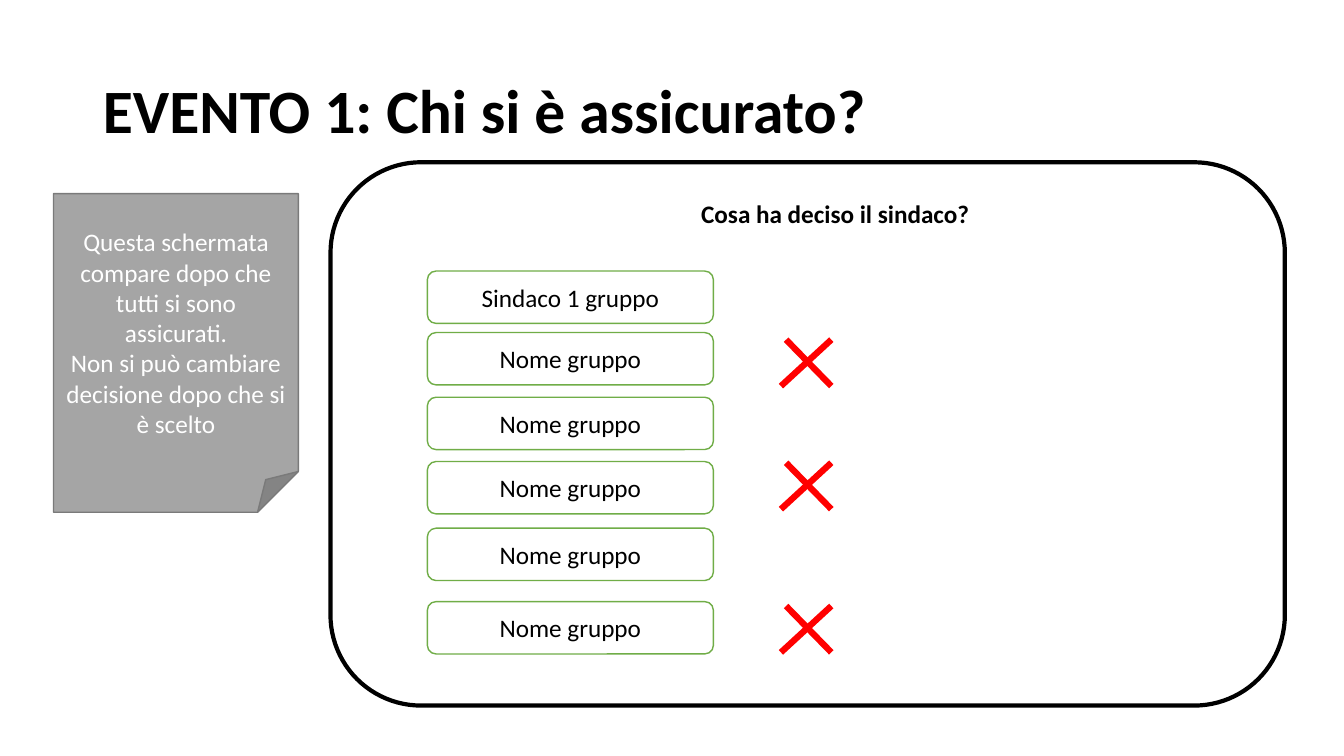
from lxml import etree
from pptx import Presentation
from pptx.dml.color import RGBColor
from pptx.enum.shapes import MSO_CONNECTOR, MSO_SHAPE
from pptx.enum.text import MSO_ANCHOR, MSO_AUTO_SIZE, PP_ALIGN
from pptx.oxml.ns import qn
from pptx.util import Cm, Pt

STRAIGHT = MSO_CONNECTOR.STRAIGHT
FOLDED, ROUNDED = MSO_SHAPE.FOLDED_CORNER, MSO_SHAPE.ROUNDED_RECTANGLE
MIDDLE = MSO_ANCHOR.MIDDLE
LEFT, CENTER = PP_ALIGN.LEFT, PP_ALIGN.CENTER
NO_FIT = MSO_AUTO_SIZE.NONE
FONT = "Calibri"
TITLE_ONLY = 5

COLORS = {
    "black": "000000",
    "white": "FFFFFF",
    "note": "A5A5A5",
    "note_edge": "7A7A7A",
    "group_edge": "70AD47",
    "cross": "FF0000",
}

GROUPS = [
    ("Sindaco 1 gruppo", 2.74, None),
    ("Nome gruppo", 4.29, 4.47),
    ("Nome gruppo", 5.92, None),
    ("Nome gruppo", 7.54, 7.57),
    ("Nome gruppo", 9.22, None),
    ("Nome gruppo", 11.07, 11.18),
]


def rgb(name):
    """Return the named palette colour."""
    return RGBColor.from_string(COLORS[name])


def write(frame, lines, color="black", size=18, bold=False, align=CENTER):
    """Fill a text frame with one formatted paragraph per line."""
    frame.word_wrap = True
    frame.text = "\n".join(lines)
    for paragraph in frame.paragraphs:
        paragraph.alignment = align
        font = paragraph.font
        font.name, font.size, font.bold = FONT, Pt(size), bold
        font.color.rgb = rgb(color)


def add_outlined(slide, preset, box, fill, edge, width=1):
    """Add a preset shape in a box given in centimetres."""
    shape = slide.shapes.add_shape(preset, *map(Cm, box))
    shape.shadow.inherit = False
    if fill:
        shape.fill.solid()
        shape.fill.fore_color.rgb = rgb(fill)
    else:
        shape.fill.background()
    shape.line.color.rgb = rgb(edge)
    shape.line.width = Pt(width)
    shape.text_frame.vertical_anchor = MIDDLE
    return shape


def add_title(slide, box):
    """Place the slide title in its placeholder."""
    title = slide.shapes.title
    title.left, title.top, title.width, title.height = map(Cm, box)
    frame = title.text_frame
    write(frame, ["EVENTO 1: Chi si è assicurato?"], size=44, bold=True, align=LEFT)
    frame.auto_size = NO_FIT
    frame.vertical_anchor = MIDDLE
    frame.paragraphs[0].line_spacing = 0.9


def add_note(slide, box):
    """Add the grey sheet that explains the screen."""
    note = add_outlined(slide, FOLDED, box, "note", "note_edge")
    write(note.text_frame, [
        "Questa schermata compare dopo che tutti si sono assicurati.",
        "Non si può cambiare decisione dopo che si è scelto",
    ], color="white")


def add_cross(slide, left, top, width=1.27, height=1.17, inset=0.13):
    """Add a grouped red cross made of two strokes."""
    cross = slide.shapes.add_group_shape()
    right, bottom = left + width, top + height
    for ends in ((left, bottom, right, top), (right, bottom, left + inset, top)):
        stroke = cross.shapes.add_connector(STRAIGHT, *map(Cm, ends))
        stroke.line.color.rgb = rgb("cross")
        stroke.line.width = Pt(4.5)
        etree.SubElement(stroke._element.spPr, qn("a:effectLst"))


def add_decisions(slide, box):
    """Add the panel with its question, groups and crosses."""
    left, top = box[:2]
    add_outlined(slide, ROUNDED, box, None, "black", 3)
    question = slide.shapes.add_textbox(
        Cm(left + 9.09), Cm(top + 0.79), Cm(8.86), Cm(1.8))
    write(question.text_frame, ["Cosa ha deciso il sindaco?"], bold=True, align=LEFT)
    for name, group_top, cross_top in GROUPS:
        group_box = (left + 2.44, top + group_top, 7.21, 1.32)
        group = add_outlined(slide, ROUNDED, group_box, "white", "group_edge")
        write(group.text_frame, [name])
        if cross_top is not None:
            add_cross(slide, left + 11.35, top + cross_top)


def main():
    """Build and save the slide."""
    deck = Presentation()
    deck.slide_width, deck.slide_height = Cm(33.87), Cm(19.05)
    slide = deck.slides.add_slide(deck.slide_layouts[TITLE_ONLY])
    add_title(slide, (2.34, 1.02, 29.21, 3.68))
    add_note(slide, (1.35, 4.88, 6.17, 8.03))
    add_decisions(slide, (8.33, 4.09, 24.05, 13.69))
    deck.save("out.pptx")


if __name__ == "__main__":
    main()
